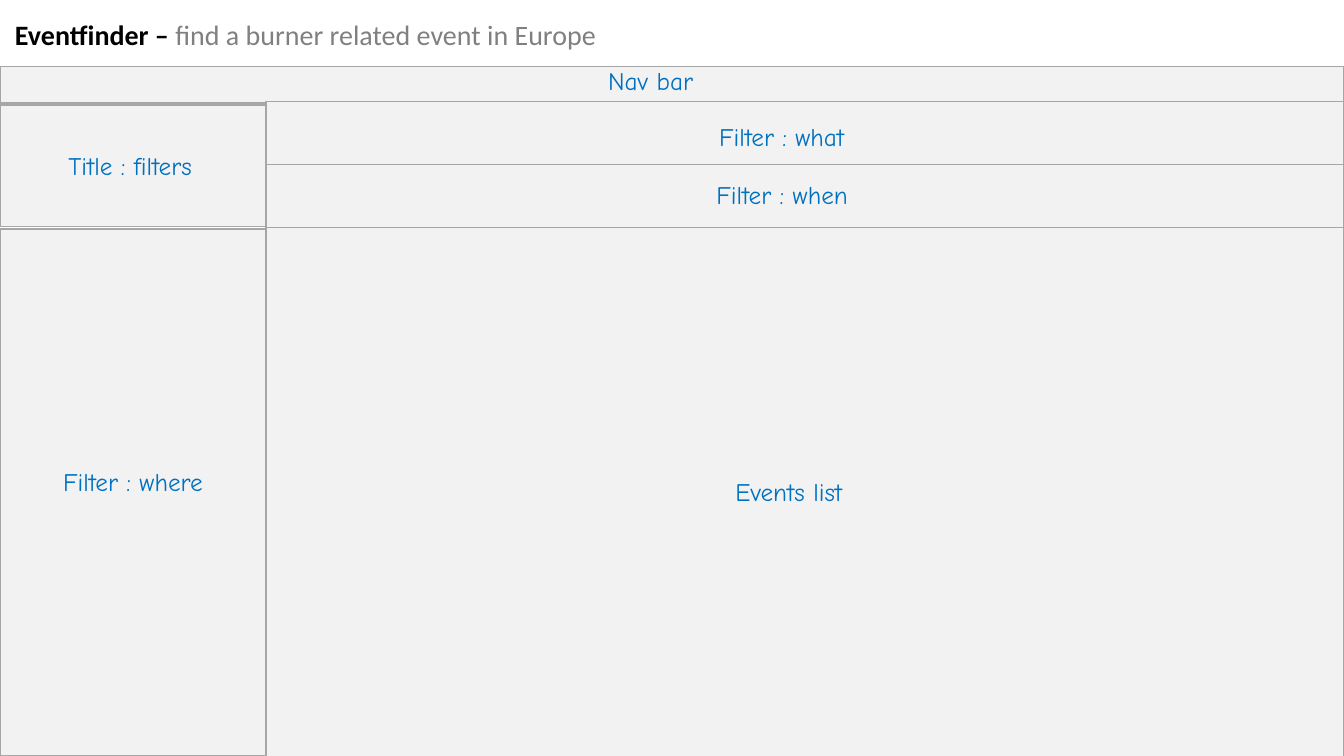
from pptx import Presentation
from pptx.dml.color import RGBColor
from pptx.enum.shapes import MSO_SHAPE as Shape
from pptx.enum.text import MSO_AUTO_SIZE as Fit, PP_ALIGN as Align
from pptx.util import Pt

BLACK = RGBColor(0x00, 0x00, 0x00)
GRAY = RGBColor(0x80, 0x80, 0x80)
BLUE = RGBColor(0x00, 0x70, 0xC0)
PALE = RGBColor(0xF2, 0xF2, 0xF2)
EDGE = RGBColor(0xA6, 0xA6, 0xA6)

WIDE, HIGH = 960, 540
SIDE = 190
MAIN = WIDE - SIDE

PANELS = [
    (0, 47.5, WIDE, 26),
    (0, 75, SIDE, 87),
    (SIDE, 72.7, MAIN, 45),
    (SIDE, 117.5, MAIN, 45),
    (0, 163.5, SIDE, 376.5),
    (SIDE, 162.5, MAIN, 381),
]

LABELS = [
    ("Nav bar", 425.5, 43.2, 78.5),
    ("Filter : what", 504, 82.8, 108.7),
    ("Filter : when", 501.8, 124.6, 113.8),
    ("Filter : where", 35.3, 329.8, 119.5),
    ("Events list", 514.8, 336.5, 97.2),
    ("Title : filters", 39.6, 103.7, 106.6),
]


def add_panel(slide, left, top, width, height):
    panel = slide.shapes.add_shape(
        Shape.RECTANGLE, Pt(left), Pt(top), Pt(width), Pt(height))
    panel.shadow.inherit = False
    panel.fill.solid()
    panel.fill.fore_color.rgb = PALE
    panel.line.color.rgb = EDGE
    panel.line.width = Pt(1)


def add_box(slide, left, top, width, height, align=Align.LEFT):
    box = slide.shapes.add_textbox(Pt(left), Pt(top), Pt(width), Pt(height))
    frame = box.text_frame
    frame.word_wrap = False
    frame.auto_size = Fit.SHAPE_TO_FIT_TEXT
    para = frame.paragraphs[0]
    para.alignment = align
    return para


def add_text(para, text, *, size=18, face="Comic Neue", color=BLUE, bold=False):
    run = para.add_run()
    run.text = text
    run.font.size = Pt(size)
    run.font.name = face
    run.font.color.rgb = color
    run.font.bold = bold


def add_title(slide):
    para = add_box(slide, 3.6, 8.6, 447, 31.5)
    add_text(para, "Eventfinder – ", size=20, face="Calibri", color=BLACK, bold=True)
    add_text(para, "find a burner related event in Europe",
             size=20, face="Calibri", color=GRAY)


def add_label(slide, text, left, top, width):
    add_text(add_box(slide, left, top, width, 29, Align.CENTER), text)


def main():
    deck = Presentation()
    deck.slide_width, deck.slide_height = Pt(WIDE), Pt(HIGH)
    slide = deck.slides.add_slide(deck.slide_layouts[6])
    add_title(slide)
    for panel in PANELS:
        add_panel(slide, *panel)
    for label in LABELS:
        add_label(slide, *label)
    deck.save("out.pptx")


if __name__ == "__main__":
    main()
